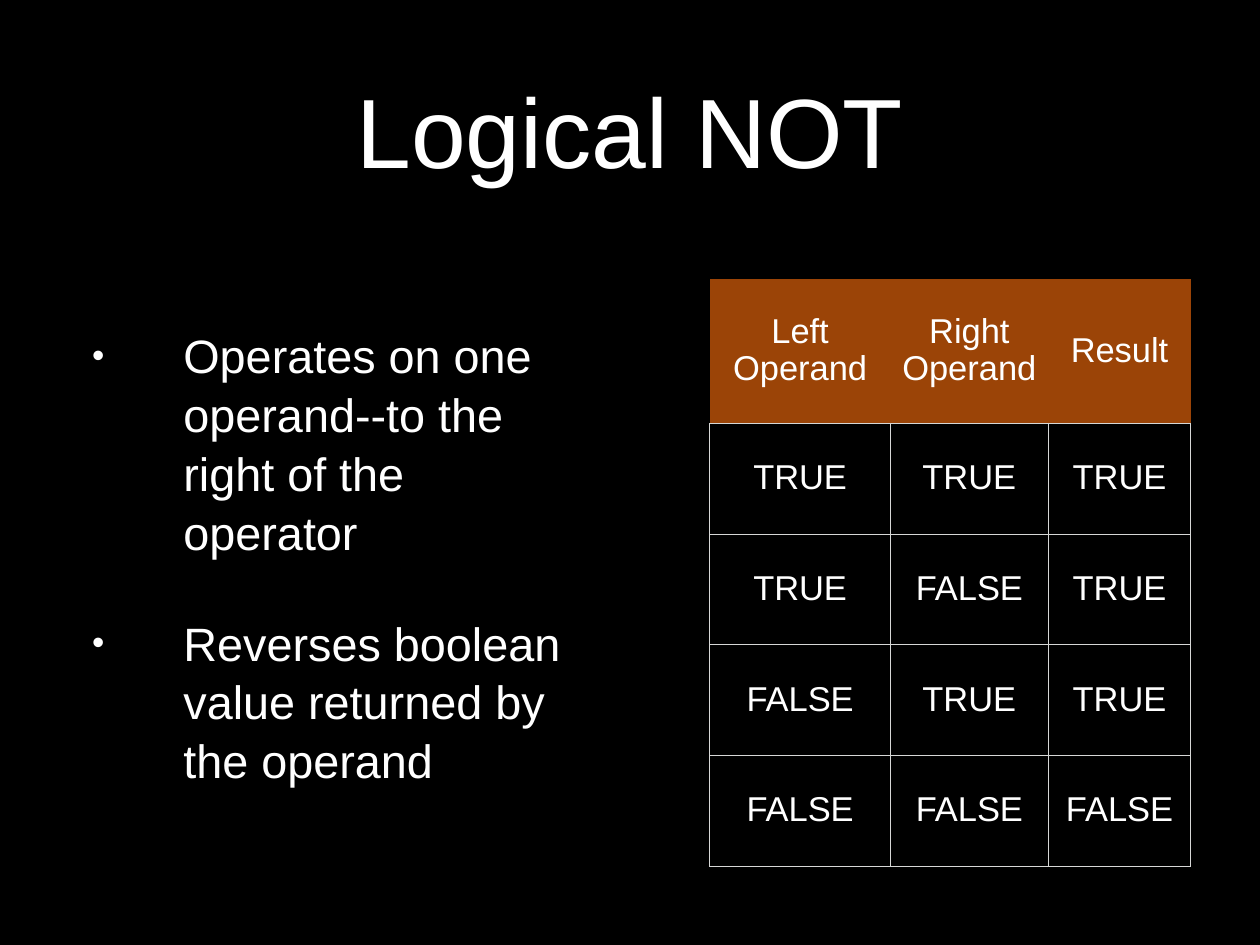
from lxml.etree import SubElement
from pptx import Presentation
from pptx.dml.color import RGBColor
from pptx.enum.text import MSO_ANCHOR, PP_ALIGN
from pptx.oxml.ns import qn
from pptx.util import Inches, Pt

BLACK = RGBColor(0x00, 0x00, 0x00)
WHITE = RGBColor(0xFF, 0xFF, 0xFF)
BROWN = RGBColor(0x9B, 0x44, 0x07)
GREY = RGBColor(0xD6, 0xD7, 0xD6)

POINTS = [
    "Operates on one operand--to the right of the operator",
    "Reverses boolean value returned by the operand",
]
TRUTH = [
    ["Left Operand", "Right Operand", "Result"],
    ["TRUE", "TRUE", "TRUE"],
    ["TRUE", "FALSE", "TRUE"],
    ["FALSE", "TRUE", "TRUE"],
    ["FALSE", "FALSE", "FALSE"],
]
COLS = [2.04, 1.78, 1.61]
ROWS = [1.63] + [1.25] * 4


def style(para, size):
    for run in para.runs:
        run.font.name = "Arial"
        run.font.size = Pt(size)
        run.font.color.rgb = WHITE


def add_box(slide, left, top, width, height):
    box = slide.shapes.add_textbox(
        Inches(left), Inches(top), Inches(width), Inches(height))
    frame = box.text_frame
    frame.word_wrap = True
    frame.vertical_anchor = MSO_ANCHOR.MIDDLE
    frame.margin_left = frame.margin_right = 0
    frame.margin_top = frame.margin_bottom = 0
    return frame


def add_title(slide, text):
    frame = add_box(slide, 1.04, 0.28, 12.14, 2.36)
    frame.text = text
    para = frame.paragraphs[0]
    para.alignment = PP_ALIGN.CENTER
    style(para, 80)


def set_bullet(para):
    props = para._p.get_or_add_pPr()
    props.set("marL", str(Inches(1.03)))
    props.set("indent", str(-Inches(1.03)))
    color = SubElement(props, qn("a:buClr"))
    SubElement(color, qn("a:srgbClr"), val=str(WHITE))
    SubElement(props, qn("a:buSzPct"), val="75000")
    SubElement(props, qn("a:buFont"), typeface="Arial")
    SubElement(props, qn("a:buChar"), char="•")


def add_bullets(slide, points):
    frame = add_box(slide, 1.04, 2.84, 5.6, 6.88)
    frame.text = "\n".join(points)
    for index, para in enumerate(frame.paragraphs):
        set_bullet(para)
        para.line_spacing = 1.05
        if index:
            para.space_before = Pt(42)
        style(para, 38)


def set_border(cell):
    props = cell._tc.get_or_add_tcPr()
    for place, side in enumerate(("a:lnL", "a:lnR", "a:lnT", "a:lnB")):
        line = SubElement(props, qn(side), w=str(Pt(1)))
        fill = SubElement(line, qn("a:solidFill"))
        SubElement(fill, qn("a:srgbClr"), val=str(GREY))
        # Border lines come before the cell fill
        props.insert(place, line)


def fill_cell(cell, text, header):
    cell.text = text
    cell.vertical_anchor = MSO_ANCHOR.MIDDLE
    cell.margin_left = cell.margin_right = Inches(0.06)
    cell.margin_top = cell.margin_bottom = Inches(0.06)
    para = cell.text_frame.paragraphs[0]
    para.alignment = PP_ALIGN.CENTER
    para.line_spacing = 0.96
    style(para, 28)
    if header:
        cell.fill.solid()
        cell.fill.fore_color.rgb = BROWN
    else:
        cell.fill.background()
        set_border(cell)


def add_truth(slide, data):
    frame = slide.shapes.add_table(
        len(ROWS), len(COLS), Inches(8.01), Inches(3.15),
        Inches(sum(COLS)), Inches(sum(ROWS)))
    table = frame.table
    table.horz_banding = False
    for col, width in zip(table.columns, COLS):
        col.width = Inches(width)
    for row, height in zip(table.rows, ROWS):
        row.height = Inches(height)
    for r, texts in enumerate(data):
        for c, text in enumerate(texts):
            fill_cell(table.cell(r, c), text, r == 0)
    # Plain style without grid, so only the set borders show
    style_id = table._tbl.tblPr.find(qn("a:tableStyleId"))
    style_id.text = "{2D5ABB26-0587-4C30-8999-92F81FD0307C}"


def main():
    deck = Presentation()
    deck.slide_width = Inches(14.22)
    deck.slide_height = Inches(10.67)
    slide = deck.slides.add_slide(deck.slide_layouts[6])
    slide.background.fill.solid()
    slide.background.fill.fore_color.rgb = BLACK

    # Heading, then points on the left and truth table on the right
    add_title(slide, "Logical NOT")
    add_bullets(slide, POINTS)
    add_truth(slide, TRUTH)
    deck.save("out.pptx")


if __name__ == "__main__":
    main()
